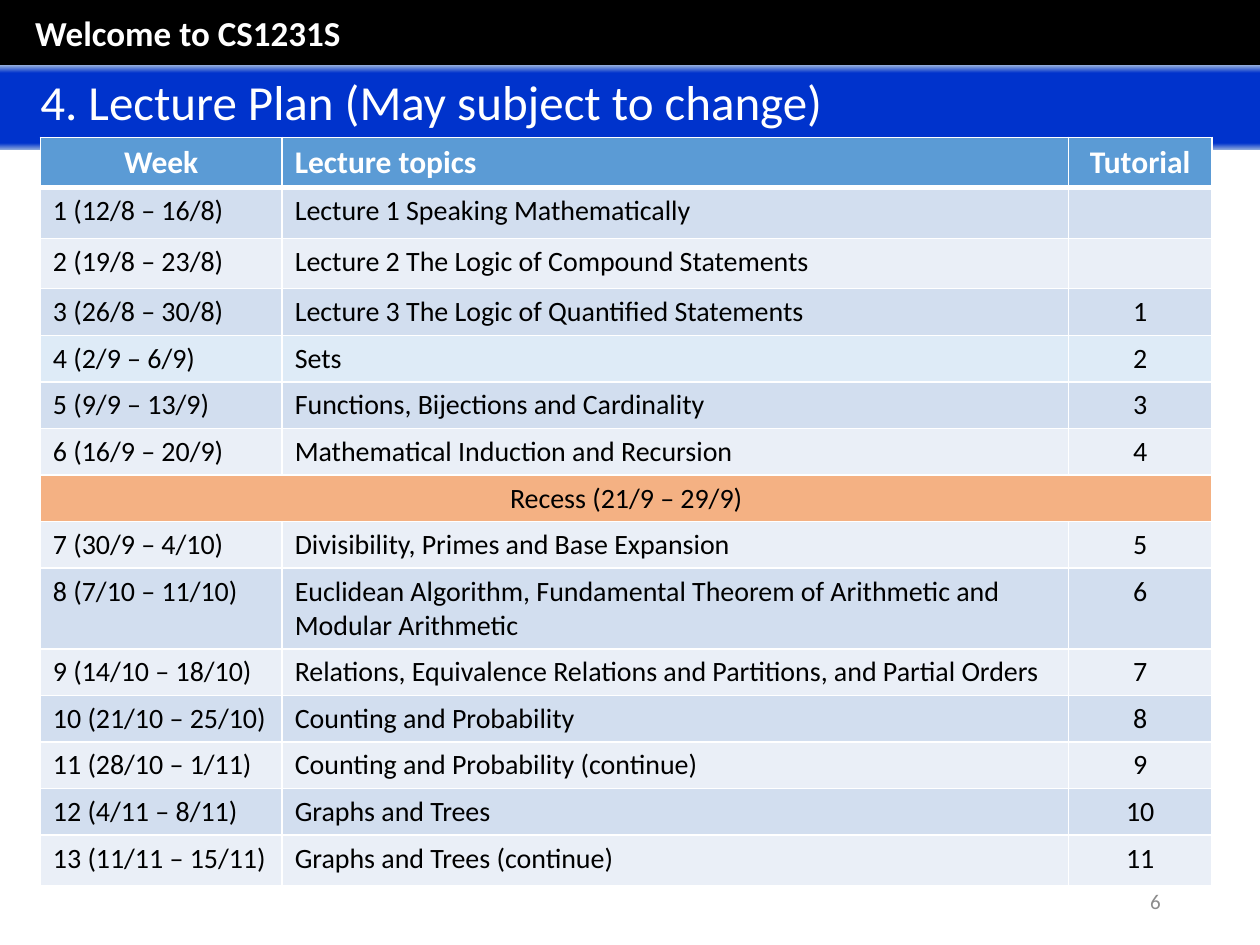
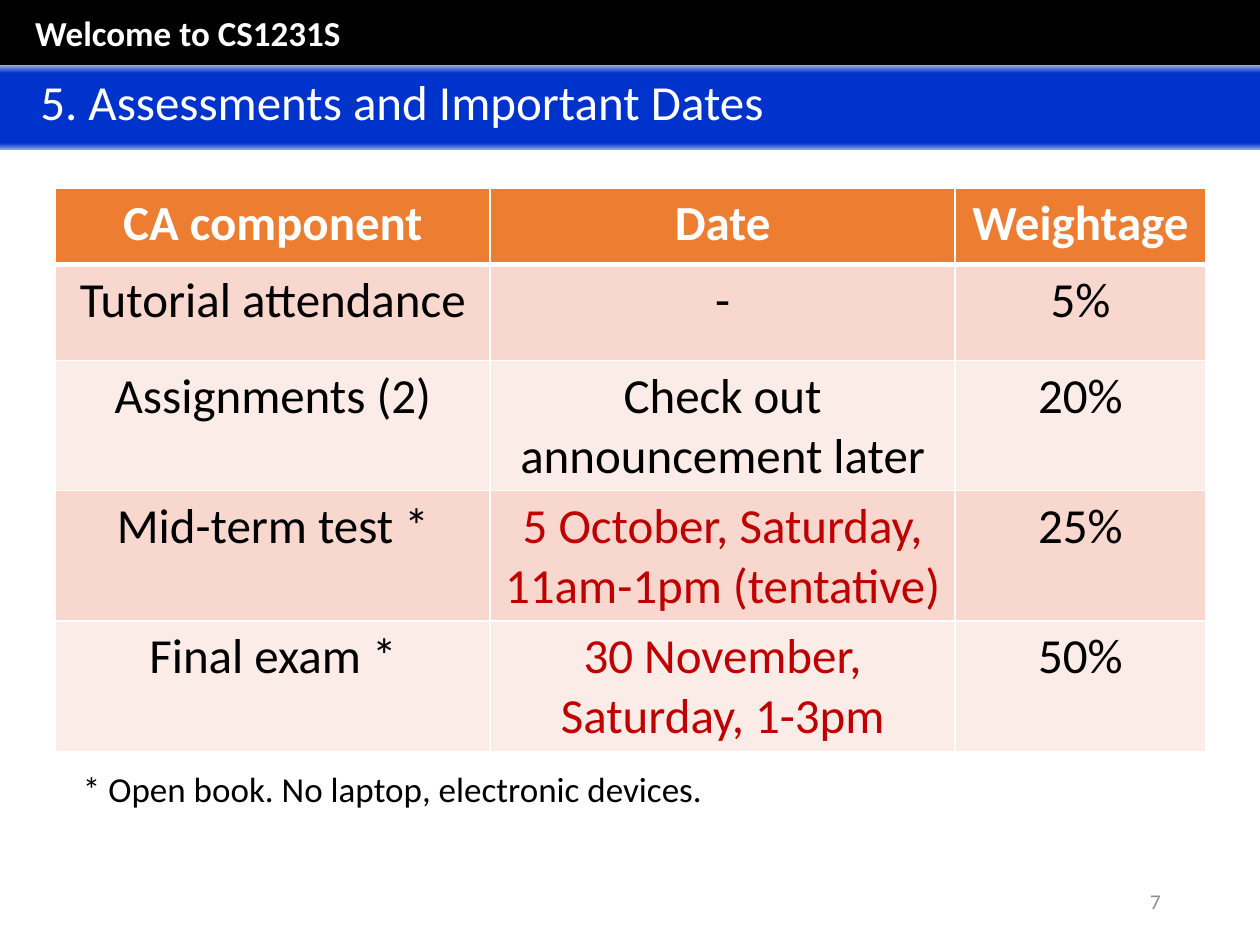
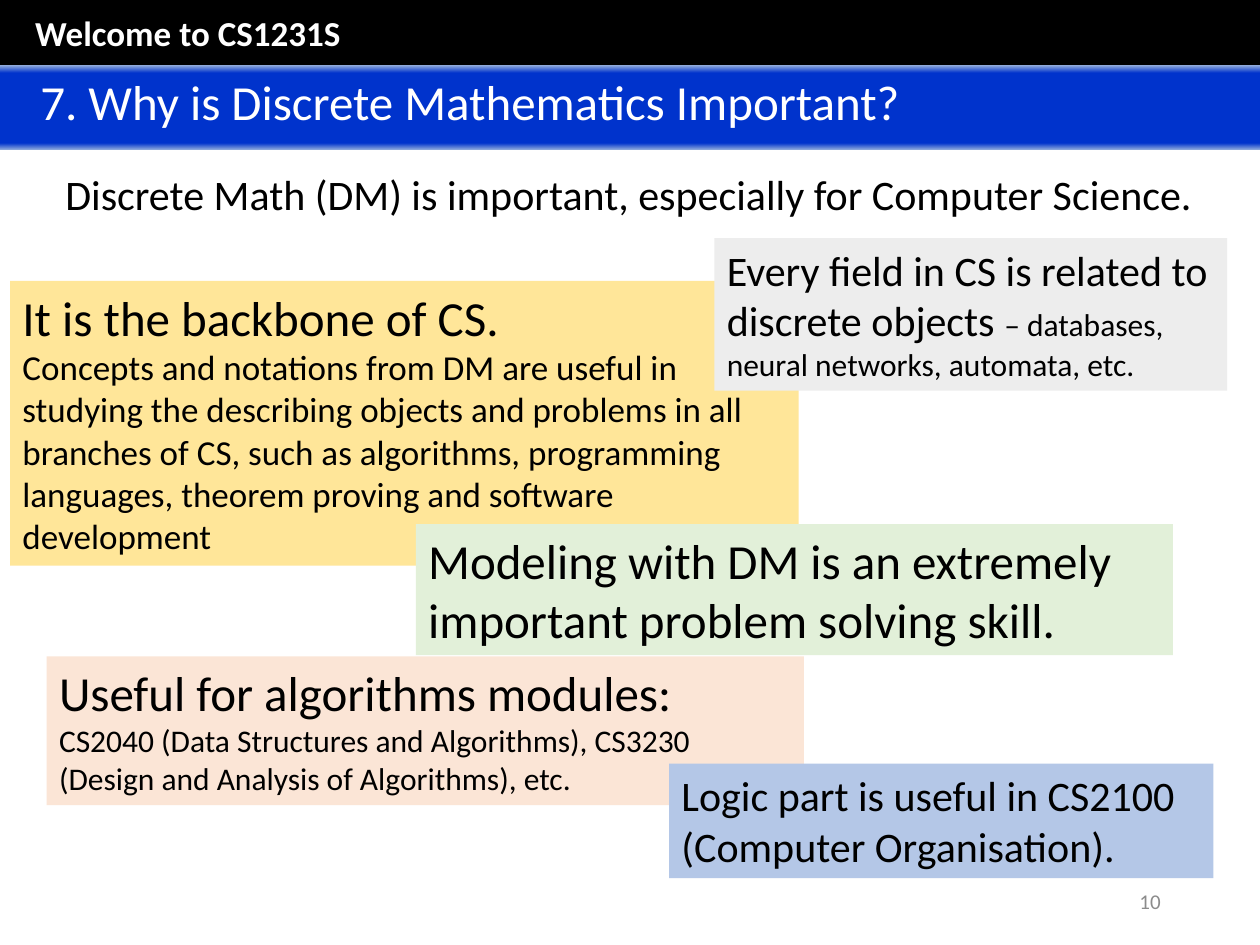
from dataclasses import dataclass

from lxml.etree import SubElement
from pptx import Presentation
from pptx.dml.color import RGBColor
from pptx.enum.shapes import MSO_SHAPE
from pptx.enum.text import MSO_ANCHOR, MSO_AUTO_SIZE, PP_ALIGN
from pptx.oxml.ns import qn
from pptx.util import Inches, Pt


@dataclass(frozen=True)
class Theme:
    """Colours, font and type sizes shared by the slides."""
    font: str = "Calibri"
    black: str = "000000"
    white: str = "FFFFFF"
    grey: str = "8C8C8C"
    red: str = "C00000"
    band_stops: tuple = ((0, "8FAADC"), (9, "0033CC"), (92, "0033CC"), (100, "8FAADC"))
    plan_header: str = "5B9BD5"
    plan_bands: tuple = ("D2DEEF", "EAEFF7")
    plan_sets: str = "DEEBF7"
    recess: str = "F4B183"
    marks_header: str = "ED7D31"
    marks_bands: tuple = ("F8D7CE", "FCECE8")
    yellow: str = "FFE699"
    green: str = "E2F0D9"
    peach: str = "FBE5D6"
    blue: str = "B4C7E7"
    pale_grey: str = "EDEDED"
    big: int = 28
    lead: int = 24
    body: int = 20
    small: int = 18
    row: int = 16
    number: int = 12


T = Theme()

PLAN = [
    ("1 (12/8 – 16/8)", "Lecture 1 Speaking Mathematically", ""),
    ("2 (19/8 – 23/8)", "Lecture 2 The Logic of Compound Statements", ""),
    ("3 (26/8 – 30/8)", "Lecture 3 The Logic of Quantified Statements", "1"),
    ("4 (2/9 – 6/9)", "Sets", "2"),
    ("5 (9/9 – 13/9)", "Functions, Bijections and Cardinality", "3"),
    ("6 (16/9 – 20/9)", "Mathematical Induction and Recursion", "4"),
    ("Recess (21/9 – 29/9)", "", ""),
    ("7 (30/9 – 4/10)", "Divisibility, Primes and Base Expansion", "5"),
    ("8 (7/10 – 11/10)",
     "Euclidean Algorithm, Fundamental Theorem of Arithmetic and Modular Arithmetic", "6"),
    ("9 (14/10 – 18/10)",
     "Relations, Equivalence Relations and Partitions, and Partial Orders", "7"),
    ("10 (21/10 – 25/10)", "Counting and Probability", "8"),
    ("11 (28/10 – 1/11)", "Counting and Probability (continue)", "9"),
    ("12 (4/11 – 8/11)", "Graphs and Trees", "10"),
    ("13 (11/11 – 15/11)", "Graphs and Trees (continue)", "11"),
]
RECESS_ROW = 7
SETS_ROW = 4
PLAN_HEIGHTS = [0.4] * 3 + [0.37] * 6 + [0.64] + [0.37] * 4 + [0.4]

MARKS = [
    ("Tutorial attendance", "-", "5%"),
    ("Assignments (2)", "Check out announcement later", "20%"),
    ("Mid-term test *", "5 October, Saturday, 11am-1pm (tentative)", "25%"),
    ("Final exam *", "30 November, Saturday, 1-3pm", "50%"),
]

NOTES = [
    ((0.08, 2.23, 6.26, 2.26), T.yellow, [
        [("It is the backbone of CS.", T.big)],
        [("Concepts and notations from DM are useful in studying the describing objects and "
          "problems in all branches of CS, such as algorithms, programming languages, "
          "theorem proving and software development", T.body)]]),
    ((3.3, 4.16, 6.01, 1.04), T.green, [
        [("Modeling with DM is an extremely important problem solving skill.", T.big)]]),
    ((0.37, 5.21, 6.01, 1.18), T.peach, [
        [("Useful for algorithms modules:", T.big)],
        [("CS2040 (Data Structures and Algorithms), CS3230 "
          "(Design and Analysis of Algorithms), etc.", T.small)]]),
    ((5.31, 6.06, 4.32, 0.91), T.blue, [
        [("Logic part is useful in CS2100 (Computer Organisation).", T.lead)]]),
    ((5.67, 1.89, 4.07, 1.21), T.pale_grey, [
        [("Every field in CS is related to discrete objects ", T.lead),
         ("– databases, neural networks, automata, etc.", T.small)]]),
]


def rgb(color):
    """Turn a hex string into a colour."""
    return RGBColor.from_string(color)


def add_run(p, text, size, color=T.black, bold=False):
    """Append one formatted run to a paragraph."""
    r = p.add_run()
    r.text = text
    r.font.name = T.font
    r.font.size = Pt(size)
    r.font.bold = bold
    r.font.color.rgb = rgb(color)


def write(tf, paragraphs, color=T.black, bold=False, align=PP_ALIGN.LEFT):
    """Write paragraphs, each a list of (text, size) runs."""
    tf.word_wrap = True
    for i, runs in enumerate(paragraphs):
        p = tf.add_paragraph() if i else tf.paragraphs[0]
        p.alignment = align
        for text, size in runs:
            add_run(p, text, size, color, bold)


def add_rect(slide, box, fill=None):
    """Add a borderless rectangle with top-anchored text."""
    sp = slide.shapes.add_shape(MSO_SHAPE.RECTANGLE, *map(Inches, box))
    sp.shadow.inherit = False
    sp.line.fill.background()
    sp.text_frame.vertical_anchor = MSO_ANCHOR.TOP
    if fill:
        sp.fill.solid()
        sp.fill.fore_color.rgb = rgb(fill)
    return sp


def add_label(slide, box, text, size, **style):
    """Add a one-run text box and return its text frame."""
    tf = slide.shapes.add_textbox(*map(Inches, box)).text_frame
    write(tf, [[(text, size)]], **style)
    return tf


def add_note(slide, box, fill, paragraphs):
    """Add a coloured note that grows with its text."""
    tf = add_rect(slide, box, fill).text_frame
    write(tf, paragraphs)
    tf.auto_size = MSO_AUTO_SIZE.SHAPE_TO_FIT_TEXT


def add_title_band(slide, title):
    """Add the blue gradient band that carries the slide title."""
    sp = add_rect(slide, (0, 0.52, 10, 0.67))
    sp.fill.gradient()
    sp.fill.gradient_angle = 270
    stops = sp._element.spPr.find(qn("a:gradFill")).find(qn("a:gsLst"))
    for stop in list(stops):
        stops.remove(stop)
    for percent, color in T.band_stops:
        stop = SubElement(stops, qn("a:gs"), pos=str(percent * 1000))
        SubElement(stop, qn("a:srgbClr"), val=color)
    sp.text_frame.margin_left = Inches(0.32)
    write(sp.text_frame, [[(title, T.big)]], color=T.white)


def add_base_slide(prs, number, title):
    """Add a blank slide with the course bar, number and title band."""
    slide = prs.slides.add_slide(prs.slide_layouts[6])
    add_rect(slide, (0, -0.02, 10, 0.56), T.black)
    tf = add_label(slide, (7.06, 6.95, 2.25, 0.4), str(number), T.number,
                   color=T.grey, align=PP_ALIGN.RIGHT)
    tf.vertical_anchor = MSO_ANCHOR.MIDDLE
    add_label(slide, (0.18, 0.04, 3.08, 0.44), "Welcome to CS1231S", T.body,
              color=T.white, bold=True)
    add_title_band(slide, title)
    return slide


def set_borders(cell, bottom):
    """Give a cell white borders with the stated bottom width."""
    tc_pr = cell._tc.get_or_add_tcPr()
    for side, width in (("L", 1), ("R", 1), ("T", 1), ("B", bottom)):
        ln = SubElement(tc_pr, qn(f"a:ln{side}"), w=str(Pt(width)))
        SubElement(SubElement(ln, qn("a:solidFill")), qn("a:srgbClr"), val=T.white)


def style_cell(cell, fill, bottom=1):
    """Set the borders and fill of a cell."""
    set_borders(cell, bottom)
    cell.fill.solid()
    cell.fill.fore_color.rgb = rgb(fill)


def fill_cell(cell, text, size, align, color=T.black, bold=False):
    """Write the text of a cell unless it is empty."""
    if text:
        write(cell.text_frame, [[(text, size)]], color, bold, align)


def add_grid(slide, left, top, widths, heights):
    """Add a table with the stated column widths and row heights."""
    table = slide.shapes.add_table(
        len(heights), len(widths), Inches(left), Inches(top),
        Inches(sum(widths)), Inches(sum(heights))).table
    for column, width in zip(table.columns, widths):
        column.width = Inches(width)
    for row, height in zip(table.rows, heights):
        row.height = Inches(height)
    return table


def add_header(table, labels, aligns, size, fill):
    """Fill the header row of a table."""
    for c, (label, align) in enumerate(zip(labels, aligns)):
        cell = table.cell(0, c)
        style_cell(cell, fill, bottom=3)
        fill_cell(cell, label, size, align, T.white, True)


def add_plan(slide):
    """Add the weekly lecture plan."""
    left, center = PP_ALIGN.LEFT, PP_ALIGN.CENTER
    table = add_grid(slide, 0.32, 1.09, (1.92, 6.24, 1.14), PLAN_HEIGHTS)
    add_header(table, ("Week", "Lecture topics", "Tutorial"), (center, left, center),
               T.small, T.plan_header)
    special = {SETS_ROW: T.plan_sets, RECESS_ROW: T.recess}
    for r, texts in enumerate(PLAN, 1):
        fill = special.get(r, T.plan_bands[(r - 1) % 2])
        aligns = (center,) * 3 if r == RECESS_ROW else (left, left, center)
        for c, (text, align) in enumerate(zip(texts, aligns)):
            cell = table.cell(r, c)
            style_cell(cell, fill)
            fill_cell(cell, text, T.row, align)
    table.cell(RECESS_ROW, 0).merge(table.cell(RECESS_ROW, 2))


def add_marks(slide):
    """Add the assessment table."""
    center = PP_ALIGN.CENTER
    table = add_grid(slide, 0.44, 1.49, (3.45, 3.69, 1.99), [0.61, 0.76] + [1.03] * 3)
    add_header(table, ("CA component", "Date", "Weightage"), (center,) * 3,
               T.big, T.marks_header)
    for r, texts in enumerate(MARKS, 1):
        for c, text in enumerate(texts):
            cell = table.cell(r, c)
            style_cell(cell, T.marks_bands[(r - 1) % 2])
            fixed_date = c == 1 and r >= 3
            fill_cell(cell, text, T.big, center, T.red if fixed_date else T.black)


def main():
    """Build and save the three slides."""
    prs = Presentation()
    prs.slide_width, prs.slide_height = Inches(10), Inches(7.5)

    add_plan(add_base_slide(prs, 6, "4. Lecture Plan (May subject to change)"))

    slide = add_base_slide(prs, 7, "5. Assessments and Important Dates")
    add_marks(slide)
    add_label(slide, (0.56, 6.04, 5.32, 0.44),
              "* Open book. No laptop, electronic devices.", T.body)

    slide = add_base_slide(prs, 10, "7. Why is Discrete Mathematics Important?")
    add_label(slide, (0.42, 1.29, 9.31, 0.5),
              "Discrete Math (DM) is important, especially for Computer Science.", T.lead)
    for box, fill, paragraphs in NOTES:
        add_note(slide, box, fill, paragraphs)

    prs.save("out.pptx")


if __name__ == "__main__":
    main()
